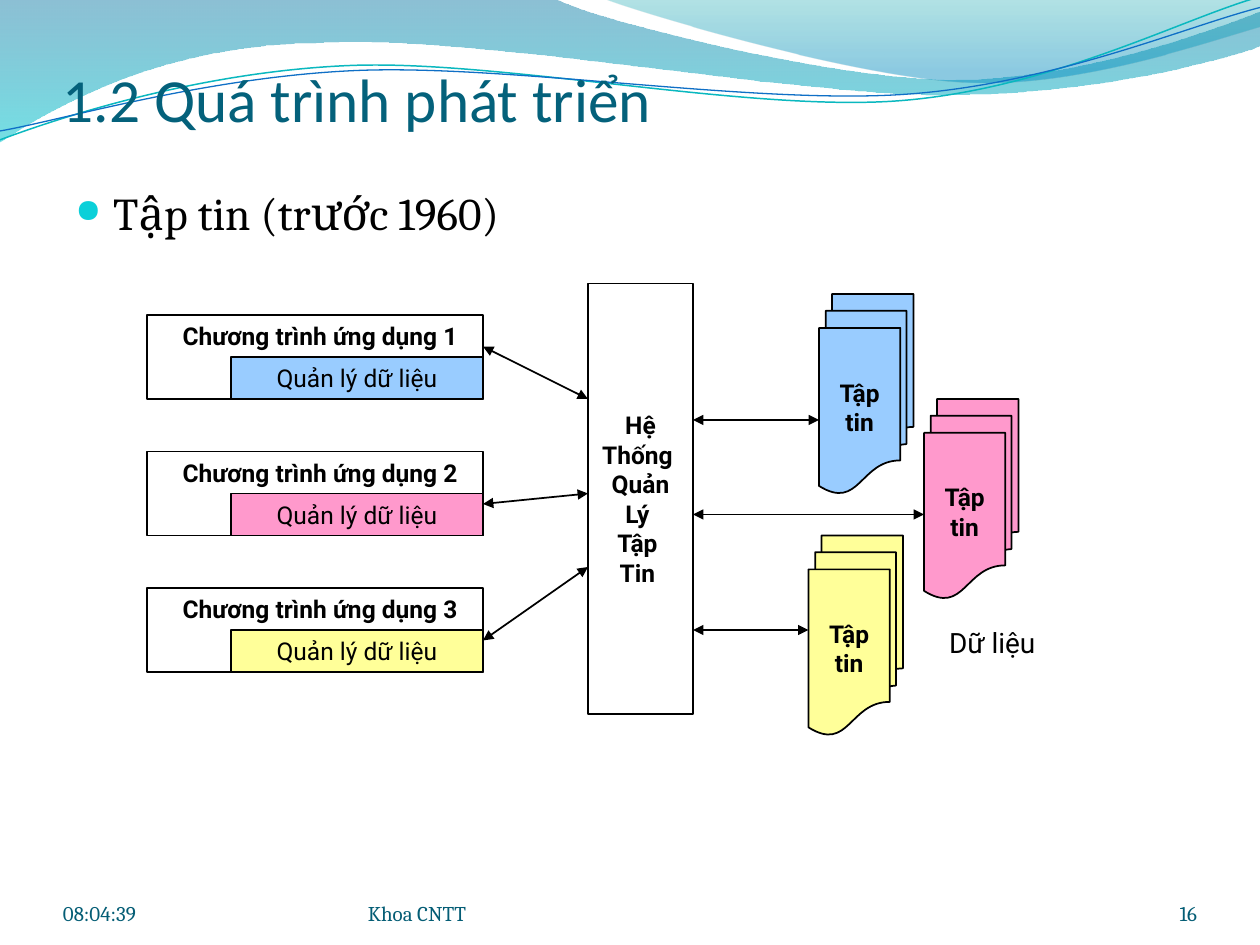
import math
import pptx
import pptx.util
from pptx.dml.color import RGBColor
from pptx.enum.shapes import MSO_CONNECTOR, MSO_SHAPE
from pptx.enum.text import MSO_ANCHOR, PP_ALIGN
from pptx.oxml.ns import qn
from pptx.util import Inches, Pt
from lxml import etree

COLORS = {
    "black": "000000", "title": "04617B", "footer": "045D75", "bullet": "0BD0D9",
    "blue": "99CCFF", "pink": "FF99CC", "yellow": "FFFF99",
    "wave_top": "0074A1", "wave_bottom": "00C6CF",
    "crest_top": "00A1A9", "crest_bottom": "008BBF",
    "teal_line": "0AB8BF", "blue_line": "0F6FC6",
}
LABEL = {"size": Pt(14), "name": "Roboto"}
BOLD = {**LABEL, "bold": True}
FOOTER = {"size": Pt(12), "name": "Cambria"}
NO_INSETS = (0, 0, 0, 0)
INSETS = (0.1, 0.05, 0.1, 0.05)
WAVE_TILT = 2.7  # degrees, counter-clockwise


def rgb(name):
    return RGBColor.from_string(COLORS[name])


def grid(*cells):
    """The diagram lies on a grid of twelfths of an inch."""
    return [Inches(n / 12) for n in cells]


def write(sp, lines, font, color="black", align=PP_ALIGN.CENTER,
          anchor=MSO_ANCHOR.MIDDLE, wrap=True, insets=INSETS):
    tf = sp.text_frame
    left, top, right, bottom = map(Inches, insets)
    frame = {"word_wrap": wrap, "vertical_anchor": anchor, "margin_left": left,
             "margin_top": top, "margin_right": right, "margin_bottom": bottom}
    for key, value in frame.items():
        setattr(tf, key, value)
    for i, line in enumerate(lines):
        p = tf.paragraphs[0] if i == 0 else tf.add_paragraph()
        p.alignment = align
        r = p.add_run()
        r.text = line
        for key, value in font.items():
            setattr(r.font, key, value)
        r.font.color.rgb = rgb(color)


def add_text(s, box, line, font, **options):
    sp = s.shapes.add_textbox(*box)
    write(sp, [line], font, **options)
    return sp


def add_box(s, box, lines=(), font=LABEL, fill=None, kind=MSO_SHAPE.RECTANGLE):
    sp = s.shapes.add_shape(kind, *box)
    sp.shadow.inherit = False
    if fill:
        sp.fill.solid()
        sp.fill.fore_color.rgb = rgb(fill)
    else:
        sp.fill.background()
    sp.line.color.rgb = rgb("black")
    sp.line.width = Pt(1)
    write(sp, lines, font, wrap=False)


def add_arrow(s, ends):
    sp = s.shapes.add_connector(MSO_CONNECTOR.STRAIGHT, *ends)
    sp.line.color.rgb = rgb("black")
    sp.line.width = Pt(1)
    ln = sp.line._get_or_add_ln()
    for tag in ("a:headEnd", "a:tailEnd"):
        etree.SubElement(ln, qn(tag), type="triangle")
    etree.SubElement(sp._element.spPr, qn("a:effectLst"))


def add_outline(s, start, segments, close):
    """Segments hold one point for a line, or three for a cubic curve."""
    vertices = [(Inches(x), Inches(y)) for seg in segments for x, y in seg]
    builder = s.shapes.build_freeform(Inches(start[0]), Inches(start[1]))
    builder.add_line_segments(vertices, close=close)
    sp = builder.convert_to_shape()
    sp.shadow.inherit = False
    steps = iter(list(sp._element.spPr.iter(qn("a:lnTo"))))
    for seg in segments:
        first, *others = [next(steps) for _ in seg]
        if others:
            curve = etree.Element(qn("a:cubicBezTo"))
            first.addprevious(curve)
            for step in (first, *others):
                curve.append(step[0])
                step.getparent().remove(step)
    return sp


def add_wave(s, start, segments, stops):
    sp = add_outline(s, start, segments, close=True)
    sp.line.fill.background()
    sp.fill.gradient()
    sp.fill.gradient_angle = 270
    for stop, (position, color, _) in zip(sp.fill.gradient_stops, stops):
        stop.position = position
        stop.color.rgb = rgb(color)
    for clr, (_, _, opacity) in zip(sp._element.spPr.iter(qn("a:srgbClr")), stops):
        etree.SubElement(clr, qn("a:alpha"), val=str(opacity * 1000))


def add_wave_line(s, center, start, segments, color, width):
    """Draw the curve level, then tilt it about its center."""
    cx, cy = center
    sin, cos = math.sin(math.radians(WAVE_TILT)), math.cos(math.radians(WAVE_TILT))

    def level(point):
        dx, dy = point[0] - cx, point[1] - cy
        return cx + dx * cos - dy * sin, cy + dx * sin + dy * cos

    sp = add_outline(s, level(start), [[level(pt) for pt in seg] for seg in segments],
                     close=False)
    sp.rotation = 360 - WAVE_TILT
    sp.fill.background()
    sp.line.color.rgb = rgb(color)
    sp.line.width = Pt(width)


def add_background(s):
    add_wave(s, (0, -0.01), [
        [(4.4, -0.01)],
        [(4.76, 0.17), (6.64, 0.63), (7.58, 0.63)],
        [(8.53, 0.63), (9.58, 0.26), (10, 0.09)],
        [(10.01, 0.36)],
        [(9.83, 0.44), (8.7, 0.76), (7.46, 0.75)],
        [(6.22, 0.75), (3.82, 0.28), (2.57, 0.34)],
        [(1.29, 0.35), (0.46, 0.83), (-0.01, 1.13)],
        [(0, -0.01)]], [(0, "wave_top", 45), (1, "wave_bottom", 55)])
    add_wave(s, (4.79, -0.01), [
        [(5.09, 0.11), (6.82, 0.62), (7.69, 0.65)],
        [(8.56, 0.69), (9.61, 0.32), (10, 0.21)],
        [(10, 0)],
        [(4.79, -0.01)]], [(0, "crest_top", 30), (0.8, "crest_bottom", 45)])
    lines = s.shapes.add_group_shape()
    add_wave_line(lines, (4.99, 0.58), (0, 1.11), [
        [(0.48, 0.93), (1.58, 0.57), (2.77, 0.52)],
        [(3.95, 0.47), (5.93, 0.89), (7.13, 0.8)],
        [(8.33, 0.71), (9.38, 0.15), (9.98, -0.02)]], "teal_line", 0.85)
    add_wave_line(lines, (5, 0.59), (0, 1.04), [
        [(0.47, 0.96), (1.64, 0.61), (2.83, 0.56)],
        [(4.03, 0.51), (5.97, 0.83), (7.17, 0.75)],
        [(8.36, 0.67), (9.41, 0.21), (10, 0.06)]], "blue_line", 0.75)


def add_bullet(sp):
    pPr = sp.text_frame.paragraphs[0]._p.get_or_add_pPr()
    pPr.set("marL", str(Inches(0.3)))
    pPr.set("indent", str(-Inches(0.3)))
    clr = etree.SubElement(pPr, qn("a:buClr"))
    etree.SubElement(clr, qn("a:srgbClr"), val=COLORS["bullet"])
    etree.SubElement(pPr, qn("a:buSzPct"), val="72000")
    etree.SubElement(pPr, qn("a:buChar"), char="●")


def add_diagram(s):
    # File management system
    add_box(s, grid(56, 27, 10, 41),
            ["Hệ", "Thống ", "Quản", "Lý ", "Tập ", "Tin "], BOLD)

    # Application programs
    for i, color in enumerate(("blue", "pink", "yellow")):
        top = 30 + 13 * i
        add_box(s, grid(14, top, 32, 8))
        add_text(s, grid(14, top, 33, 4), f"Chương trình ứng dụng {i + 1}",
                 BOLD, anchor=MSO_ANCHOR.TOP)
        add_box(s, grid(22, top + 4, 24, 4), ["Quản lý dữ liệu"], fill=color)

    # Files
    for left, top, color in ((88, 38, "pink"), (78, 28, "blue"), (77, 51, "yellow")):
        add_box(s, grid(left, top, 9, 19), ["Tập", "tin"], BOLD, color,
                MSO_SHAPE.FLOWCHART_MULTIDOCUMENT)

    # Arrows: programs to system, then system to files
    for y1, y2 in ((33, 38), (61, 54), (48, 47)):
        add_arrow(s, grid(46, y1, 56, y2))
    for y, x in ((40, 78), (60, 77), (49, 88)):
        add_arrow(s, grid(66, y, x, y))
    add_text(s, grid(88, 59, 13, 4.4), "Dữ liệu",
             {**LABEL, "size": Pt(16)}, anchor=MSO_ANCHOR.TOP)


def main():
    prs = pptx.Presentation()
    prs.slide_width, prs.slide_height = Inches(10), Inches(7.5)
    s = prs.slides.add_slide(prs.slide_layouts[6])
    add_background(s)

    # Title and body
    add_text(s, map(Inches, (0.5, 0.39, 9, 0.68)), "1.2 Quá trình phát triển",
             {"size": Pt(35), "name": "Calibri"}, color="title", align=PP_ALIGN.LEFT,
             anchor=MSO_ANCHOR.BOTTOM, insets=(0, 0.05, 0, 0))
    body = add_text(s, map(Inches, (0.5, 1.42, 9, 5.29)), "Tập tin (trước 1960)",
                    {"size": Pt(26), "name": "Cambria"}, align=PP_ALIGN.LEFT,
                    anchor=MSO_ANCHOR.TOP)
    add_bullet(body)
    add_diagram(s.shapes.add_group_shape())

    # Footer
    for left, width, line, align in ((8.67, 0.83, "16", PP_ALIGN.RIGHT),
                                     (2.92, 3.67, "Khoa CNTT", PP_ALIGN.LEFT),
                                     (0.5, 2.33, "08:04:39", PP_ALIGN.LEFT)):
        add_text(s, map(Inches, (left, 6.95, width, 0.4)), line, FOOTER, color="footer",
                 align=align, anchor=MSO_ANCHOR.BOTTOM, insets=NO_INSETS)
    prs.save("out.pptx")


if __name__ == "__main__":
    main()
